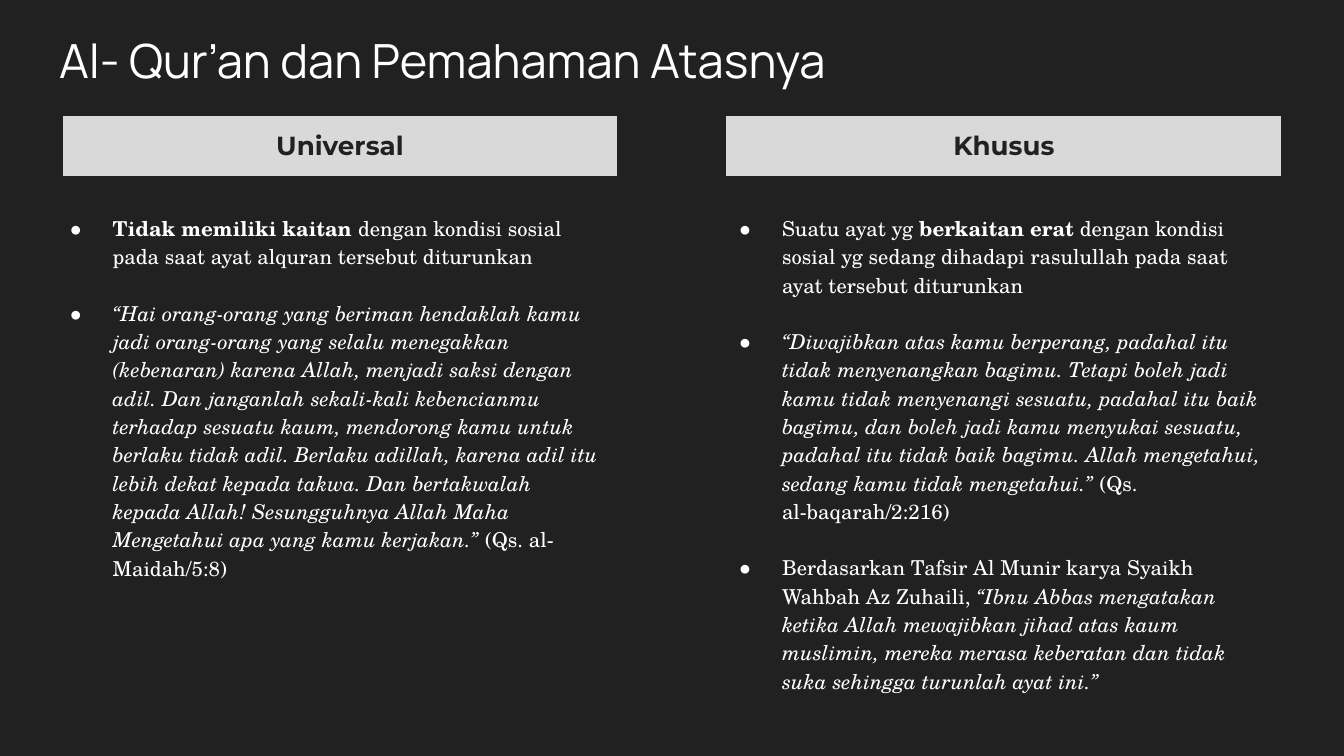
from lxml import etree
from pptx import Presentation
from pptx.dml.color import RGBColor
from pptx.enum import shapes, text
from pptx.oxml.ns import qn
from pptx.util import Inches, Pt

DARK, LIGHT, WHITE = "212121", "D9D9D9", "FFFFFF"
BODY_FONT = "TeX Gyre Schola"


def rgb(value):
    return RGBColor.from_string(value)


def add_run(p, words, size=11, font=BODY_FONT, color=WHITE, bold=False, italic=False):
    r = p.add_run()
    r.text = words
    r.font.size, r.font.name = Pt(size), font
    r.font.bold, r.font.italic = bold, italic
    r.font.color.rgb = rgb(color)


# Each column: heading, heading left, body box, bullets made of (words, style) runs
B, I, N = {"bold": True}, {"italic": True}, {}
columns = [
    ("Universal", 0.47, (0.24, 1.48, 4.34, 3.07), [
        [("Tidak memiliki kaitan", B),
         (" dengan kondisi sosial pada saat ayat alquran tersebut diturunkan", N)],
        [("“Hai orang-orang yang beriman hendaklah kamu jadi orang-orang yang selalu "
          "menegakkan (kebenaran) karena Allah, menjadi saksi dengan adil. Dan janganlah "
          "sekali-kali kebencianmu terhadap sesuatu kaum, mendorong kamu untuk berlaku "
          "tidak adil. Berlaku adillah, karena adil itu lebih dekat kepada takwa. Dan "
          "bertakwalah kepada Allah! Sesungguhnya Allah Maha Mengetahui apa yang kamu "
          "kerjakan.”", I),
         (" (Qs. al-Maidah/5:8)", N)],
    ]),
    ("Khusus", 5.41, (5.22, 1.48, 4.31, 3.83), [
        [("Suatu ayat yg ", N), ("berkaitan erat", B),
         (" dengan kondisi sosial yg sedang dihadapi rasulullah pada saat ayat tersebut "
          "diturunkan", N)],
        [("“Diwajibkan atas kamu berperang, padahal itu tidak menyenangkan bagimu. Tetapi "
          "boleh jadi kamu tidak menyenangi sesuatu, padahal itu baik bagimu, dan boleh "
          "jadi kamu menyukai sesuatu, padahal itu tidak baik bagimu. Allah mengetahui, "
          "sedang kamu tidak mengetahui.” ", I),
         ("(Qs. al-baqarah/2:216)", N)],
        [("Berdasarkan Tafsir Al Munir karya Syaikh Wahbah Az Zuhaili, ", N),
         ("“Ibnu Abbas mengatakan ketika Allah mewajibkan jihad atas kaum muslimin, mereka "
          "merasa keberatan dan tidak suka sehingga turunlah ayat ini.”", I)],
    ]),
]

# 16:9 slide
prs = Presentation()
prs.slide_width = Inches(10)
prs.slide_height = prs.slide_width * 9 // 16
s = prs.slides.add_slide(prs.slide_layouts[5])
s.background.fill.solid()
s.background.fill.fore_color.rgb = rgb(DARK)

# Title
title = s.shapes.title
title.left, title.top, title.width, title.height = map(Inches, (0.34, 0.13, 9.32, 0.63))
tf = title.text_frame
tf.margin_left = tf.margin_top = tf.margin_right = tf.margin_bottom = Inches(0.1)
tf.auto_size = text.MSO_AUTO_SIZE.NONE
tf.vertical_anchor = text.MSO_ANCHOR.MIDDLE
p = tf.paragraphs[0]
p.alignment = text.PP_ALIGN.LEFT
add_run(p, "Al- Qur’an dan Pemahaman Atasnya", size=25.2, font="Manrope")

for heading, left, box, bullets in columns:
    # Bulleted body
    sp = s.shapes.add_shape(shapes.MSO_SHAPE.RECTANGLE, *map(Inches, box))
    sp.shadow.inherit = False
    sp.fill.background()
    sp.line.color.rgb = rgb(DARK)
    sp.line.width = Pt(0.75)
    tf = sp.text_frame
    tf.word_wrap = True
    tf.vertical_anchor = text.MSO_ANCHOR.TOP
    tf.margin_left = tf.margin_top = tf.margin_right = tf.margin_bottom = Inches(0.1)
    for i, runs in enumerate(bullets):
        p = tf.add_paragraph() if i else tf.paragraphs[0]
        p.alignment = text.PP_ALIGN.LEFT
        p.line_spacing = 1.15
        p.space_before = Pt(15.1 if i else 0)
        pPr = p._p.get_or_add_pPr()
        pPr.set("marL", str(Inches(0.5)))
        pPr.set("indent", str(Inches(-0.33)))
        color = etree.SubElement(pPr, qn("a:buClr"))
        etree.SubElement(color, qn("a:srgbClr"), val=WHITE)
        etree.SubElement(pPr, qn("a:buSzPts"), val="1100")
        etree.SubElement(pPr, qn("a:buFont"), typeface=BODY_FONT)
        etree.SubElement(pPr, qn("a:buChar"), char="●")
        for words, style in runs:
            add_run(p, words, **style)

    # Heading bar
    table = s.shapes.add_table(1, 1, Inches(left), Inches(0.87), Inches(4.12), Inches(0.42)).table
    cell = table.cell(0, 0)
    cell.margin_left = cell.margin_top = cell.margin_right = cell.margin_bottom = Inches(0.1)
    p = cell.text_frame.paragraphs[0]
    p.alignment = text.PP_ALIGN.CENTER
    add_run(p, heading, size=14, font="Montserrat", color=DARK, bold=True)
    tcPr = cell._tc.get_or_add_tcPr()
    for side in ("lnL", "lnR", "lnT", "lnB"):
        ln = etree.SubElement(tcPr, qn("a:" + side), w=str(Pt(0.75)))
        fill = etree.SubElement(ln, qn("a:solidFill"))
        etree.SubElement(fill, qn("a:srgbClr"), val=LIGHT)
    cell.fill.solid()
    cell.fill.fore_color.rgb = rgb(LIGHT)

prs.save("out.pptx")
